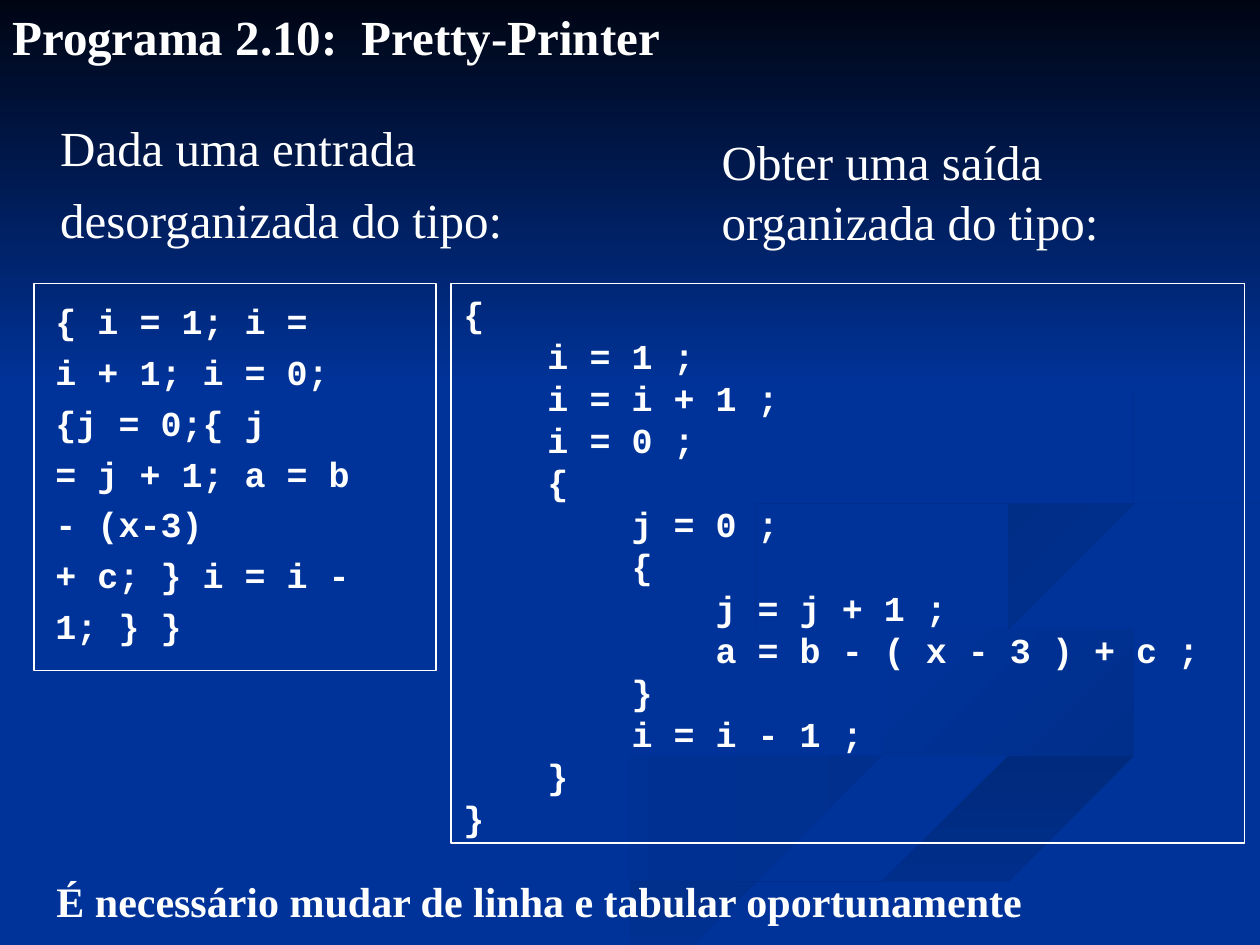
"""Build the Pretty-Printer slide with its messy input and tidy output."""
from pptx import Presentation
from pptx.dml.color import RGBColor
from pptx.enum.shapes import MSO_SHAPE
from pptx.enum.text import MSO_ANCHOR, PP_ALIGN
from pptx.util import Inches, Pt

RECT = MSO_SHAPE.RECTANGLE
TOP = MSO_ANCHOR.TOP
LEFT = PP_ALIGN.LEFT
SERIF, MONO = "Times New Roman", "Courier New"
WHITE, BLUE, NIGHT = "FFFFFF", "003399", "000514"
WIDE, HIGH = 10, 7.5
STEPS = 4

TITLE = ["Programa 2.10:  Pretty-Printer"]
GIVEN = ["Dada uma entrada", "desorganizada do tipo:"]
WANTED = ["Obter uma saída", "organizada do tipo:"]
NOTE = ["É necessário mudar de linha e tabular oportunamente"]
MESSY = [
    "{ i = 1; i =",
    "i + 1; i = 0;",
    "{j = 0;{ j",
    "= j + 1; a = b",
    "- (x-3)",
    "+ c; } i = i -",
    "1; } }",
]
TIDY = [
    "{",
    "    i = 1 ;",
    "    i = i + 1 ;",
    "    i = 0 ;",
    "    {",
    "        j = 0 ;",
    "        {",
    "            j = j + 1 ;",
    "            a = b - ( x - 3 ) + c ;",
    "        }",
    "        i = i - 1 ;",
    "    }",
    "}",
]
RIBBONS = [
    (BLUE, "002E8B", 0, [
        (5.75, 4.6), (5.81, 4.83), (6.54, 5.13), (7.41, 5.39), (7.85, 5.7),
        (7.27, 6.02), (5.39, 6.49), (3, 7.49), (3.61, 7.49), (5.64, 6.65),
        (7.4, 6.18), (8, 5.81), (7.67, 5.47), (6.42, 5.07)]),
    (BLUE, "002E8B", 45, [
        (7.24, 4.64), (7.46, 5), (8.38, 5.36), (9.07, 5.62), (8.94, 6.05),
        (9.43, 5.7), (8.7, 5.3), (7.58, 4.98)]),
    ("002A7D", BLUE, 90, [
        (5.03, 7.49), (5.71, 7.49), (7.52, 6.72), (9.98, 6.09),
        (9.98, 5.81), (7.64, 6.47), (6.3, 6.93)]),
    ("002D86", BLUE, 45, [
        (8.26, 4.96), (8.09, 4.66), (8.78, 4.39), (9.98, 4.2),
        (9.98, 4.02), (8.65, 4.24), (7.81, 4.6)]),
    ("002B82", BLUE, 45, [
        (7.62, 2.33), (8.46, 2.79), (8.89, 3.35), (8.42, 3.78), (7.04, 4.09),
        (5.97, 4.37), (6.22, 5), (6.14, 4.48), (7.39, 4.21), (8.67, 3.84),
        (8.9, 3.24), (8.43, 2.75)]),
]


def tint(code):
    return RGBColor.from_string(code)


def blend(a, b, c, d, t):
    return b + t / 2 * (c - a + t * (2 * a - 5 * b + 4 * c - d
                                     + t * (3 * (b - c) + d - a)))


def smooth(knots):
    count = len(knots)
    curve = []
    for i in range(count):
        near = [knots[(i + k) % count] for k in (-1, 0, 1, 2)]
        for step in range(STEPS):
            x, y = (blend(*axis, step / STEPS) for axis in zip(*near))
            curve.append((min(x, WIDE), min(y, HIGH)))
    return curve


def shade(shape, start, end, angle):
    shape.shadow.inherit = False
    shape.line.fill.background()
    shape.fill.gradient()
    shape.fill.gradient_angle = (360 - angle) % 360
    for stop, code in zip(shape.fill.gradient_stops, (start, end)):
        stop.color.rgb = tint(code)


def ribbon(slide, knots):
    curve = smooth(knots)
    pen = slide.shapes.build_freeform(*curve[0], scale=Inches(1))
    pen.add_line_segments(curve[1:], close=True)
    return pen.convert_to_shape()


def write(slide, lines, at, font=SERIF, size=28, pitch=34, gap=0,
          bold=False, framed=False, inset=(0.1, 0.05)):
    place = [Inches(n) for n in at]
    if framed:
        shape = slide.shapes.add_shape(RECT, *place)
        shape.shadow.inherit = False
        shape.fill.background()
        shape.line.color.rgb = tint(WHITE)
        shape.line.width = Pt(0.75)
    else:
        shape = slide.shapes.add_textbox(*place)
    frame = shape.text_frame
    frame.word_wrap = True
    frame.vertical_anchor = TOP
    frame.margin_left, frame.margin_top = map(Inches, inset)
    frame.text = "\n".join(lines)
    for row, para in enumerate(frame.paragraphs):
        para.alignment = LEFT
        para.line_spacing = Pt(pitch)
        para.space_before = Pt(gap if row else 0)
        para.font.name = font
        para.font.size = Pt(size)
        para.font.bold = bold
        para.font.color.rgb = tint(WHITE)


def main():
    deck = Presentation()
    deck.slide_width, deck.slide_height = Inches(WIDE), Inches(HIGH)
    slide = deck.slides.add_slide(deck.slide_layouts[6])
    slide.background.fill.solid()
    slide.background.fill.fore_color.rgb = tint(BLUE)
    for start, end, angle, knots in RIBBONS:
        shade(ribbon(slide, knots), start, end, angle)
    sky = slide.shapes.add_shape(RECT, 0, 0, Inches(WIDE), Inches(3.08))
    shade(sky, NIGHT, BLUE, 90)
    code = dict(font=MONO, size=20, pitch=24, bold=True, framed=True)
    write(slide, TITLE, (0, 0, 10, 0.6), bold=True)
    write(slide, GIVEN, (0.38, 0.88, 4.5, 1.15), gap=7)
    write(slide, MESSY, (0.27, 2.25, 3.19, 3.07), gap=5,
          inset=(0.17, 0.13), **code)
    write(slide, TIDY, (3.58, 2.25, 6.3, 4.44), inset=(0.1, 0.07), **code)
    write(slide, WANTED, (5.63, 0.99, 4.1, 1.04))
    write(slide, NOTE, (0.35, 6.9, 9, 0.5), size=24, pitch=29, bold=True)
    deck.save("out.pptx")


if __name__ == "__main__":
    main()
